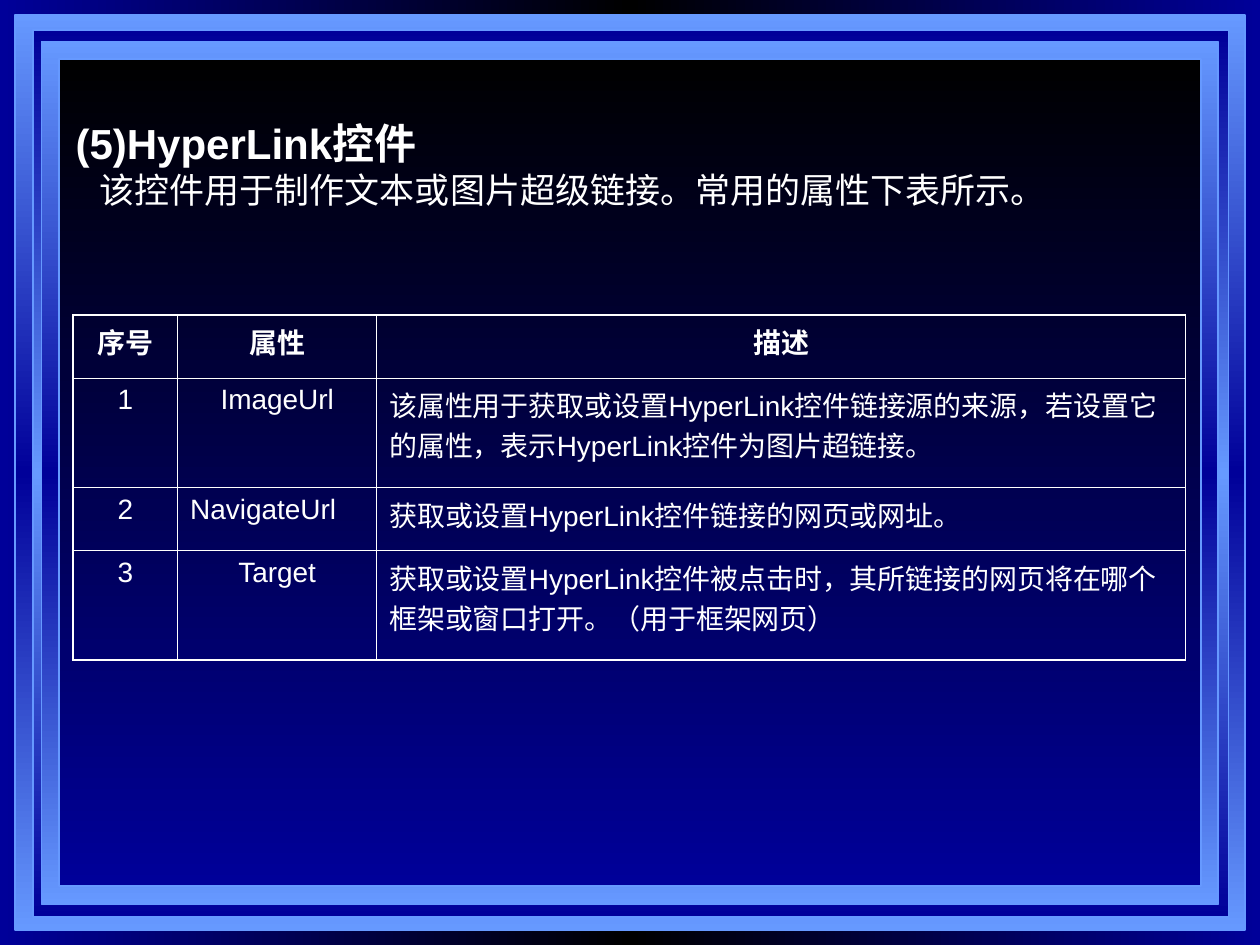
import pptx
import pptx.util
import pptx.dml.color
import pptx.enum.shapes
import pptx.enum.text
import pptx.oxml.ns
import pptx.oxml.xmlchemy
from lxml import etree
from pptx.util import Inches

THEME = {
    "font": "Arial", "text": "FFFFFF", "navy": "000099", "sky": "6699FF", "black": "000000",
    "heading": 24, "body": 20, "cell": 16, "outer_border": 1.08, "inner_border": 0.45,
}
NAVY, SKY, BLACK = THEME["navy"], THEME["sky"], THEME["black"]

BACKGROUND = ((NAVY, BLACK, NAVY), 180)
FRAMES = [  # left, top, width, height, gradient colours
    (0.12, 0.12, 9.76, 7.26, (SKY, NAVY, SKY)),
    (0.26, 0.24, 9.49, 7.04, (NAVY, SKY, NAVY)),
    (0.33, 0.33, 9.34, 6.85, (SKY, NAVY, SKY)),
    (0.47, 0.47, 9.06, 6.56, (BLACK, NAVY)),
]
BODY = [  # text, size, bold, first line indent, space before
    ("(5)HyperLink控件", THEME["heading"], True, -0.38, 0),
    ("该控件用于制作文本或图片超级链接。常用的属性下表所示。", THEME["body"], False, -0.19, 5),
]
TABLE = [
    ("序号", "属性", "描述"),
    ("1", "ImageUrl", "该属性用于获取或设置HyperLink控件链接源的来源，若设置它的属性，表示HyperLink控件为图片超链接。"),
    ("2", "NavigateUrl", "获取或设置HyperLink控件链接的网页或网址。"),
    ("3", "Target", "获取或设置HyperLink控件被点击时，其所链接的网页将在哪个框架或窗口打开。（用于框架网页）"),
]
COLUMN_WIDTHS = (0.83, 1.58, 6.42)
ROW_HEIGHTS = (0.5, 0.87, 0.5, 0.87)
LEFT_ALIGNED = {(1, 2), (2, 1), (2, 2), (3, 2)}


def add_element(parent, tag, **attributes):
    return etree.SubElement(parent, pptx.oxml.ns.qn(tag), attributes)


def set_gradient(fill, owner, colors, angle):
    """Spread the colours evenly; the angle runs clockwise from left to right."""
    fill.gradient()
    grad = owner.find(".//" + pptx.oxml.ns.qn("a:gradFill"))
    for child in list(grad):
        grad.remove(child)
    stops = add_element(grad, "a:gsLst")
    for i, color in enumerate(colors):
        stop = add_element(stops, "a:gs", pos=str(100000 * i // (len(colors) - 1)))
        add_element(stop, "a:srgbClr", val=color)
    add_element(grad, "a:lin", ang=str(angle * 60000), scaled="0")


def add_run(p, text, size, bold):
    r = p.add_run()
    r.text = text
    r.font.name = THEME["font"]
    r.font.size = pptx.util.Pt(size)
    r.font.bold = bold
    r.font.color.rgb = pptx.dml.color.RGBColor.from_string(THEME["text"])


def add_frame(s, left, top, width, height, colors):
    sp = s.shapes.add_shape(pptx.enum.shapes.MSO_SHAPE.RECTANGLE,
                            Inches(left), Inches(top), Inches(width), Inches(height))
    sp.shadow.inherit = False
    set_gradient(sp.fill, sp.element, colors, 90)
    sp.line.color.rgb = pptx.dml.color.RGBColor.from_string(SKY)
    sp.line.width = pptx.util.Pt(1)


def fill_body(s, body):
    body.left, body.top, body.width, body.height = (Inches(v) for v in (0.5, 0.92, 8.92, 6))
    s.shapes.element.append(body.element)  # in front of the frames
    tf = body.text_frame
    tf.word_wrap = True
    tf.margin_top = Inches(0.09)
    tf.vertical_anchor = pptx.enum.text.MSO_ANCHOR.TOP
    for i, (text, size, bold, indent, space) in enumerate(BODY):
        p = tf.add_paragraph() if i else tf.paragraphs[0]
        pPr = p._p.get_or_add_pPr()
        pPr.set("marL", str(Inches(0.38)))
        pPr.set("indent", str(Inches(indent)))
        add_element(pPr, "a:buNone")
        p.line_spacing = 0.8
        p.space_before = pptx.util.Pt(space)
        add_run(p, text, size, bold)


def set_borders(cell, outer_sides):
    tcPr = cell._tc.get_or_add_tcPr()
    for side in "LRTB":
        width = THEME["outer_border" if side in outer_sides else "inner_border"]
        ln = add_element(tcPr, "a:ln" + side, w=str(pptx.util.Pt(width)))
        add_element(add_element(ln, "a:solidFill"), "a:srgbClr", val=THEME["text"])


def add_property_table(s):
    rows, cols = len(TABLE), len(COLUMN_WIDTHS)
    table = s.shapes.add_table(rows, cols, Inches(0.58), Inches(2.5),
                               Inches(sum(COLUMN_WIDTHS)), Inches(sum(ROW_HEIGHTS))).table
    table.first_row = table.horz_banding = False
    for column, width in zip(table.columns, COLUMN_WIDTHS):
        column.width = Inches(width)
    for row, height in zip(table.rows, ROW_HEIGHTS):
        row.height = Inches(height)
    align = pptx.enum.text.PP_ALIGN
    for i, texts in enumerate(TABLE):
        for j, text in enumerate(texts):
            cell = table.cell(i, j)
            edges = {"L": j == 0, "R": j == cols - 1, "T": i == 0, "B": i == rows - 1}
            set_borders(cell, [side for side, outer in edges.items() if outer])
            cell.fill.background()
            p = cell.text_frame.paragraphs[0]
            p.alignment = align.LEFT if (i, j) in LEFT_ALIGNED else align.CENTER
            add_run(p, text, THEME["cell"], i == 0)


def main():
    prs = pptx.Presentation()
    prs.slide_width, prs.slide_height = Inches(10), Inches(7.5)
    s = prs.slides.add_slide(prs.slide_layouts[1])
    title, body = s.placeholders
    title.element.getparent().remove(title.element)
    set_gradient(s.background.fill, s.element, *BACKGROUND)
    for frame in FRAMES:
        add_frame(s, *frame)
    fill_body(s, body)
    add_property_table(s)
    prs.save("out.pptx")


if __name__ == "__main__":
    main()
